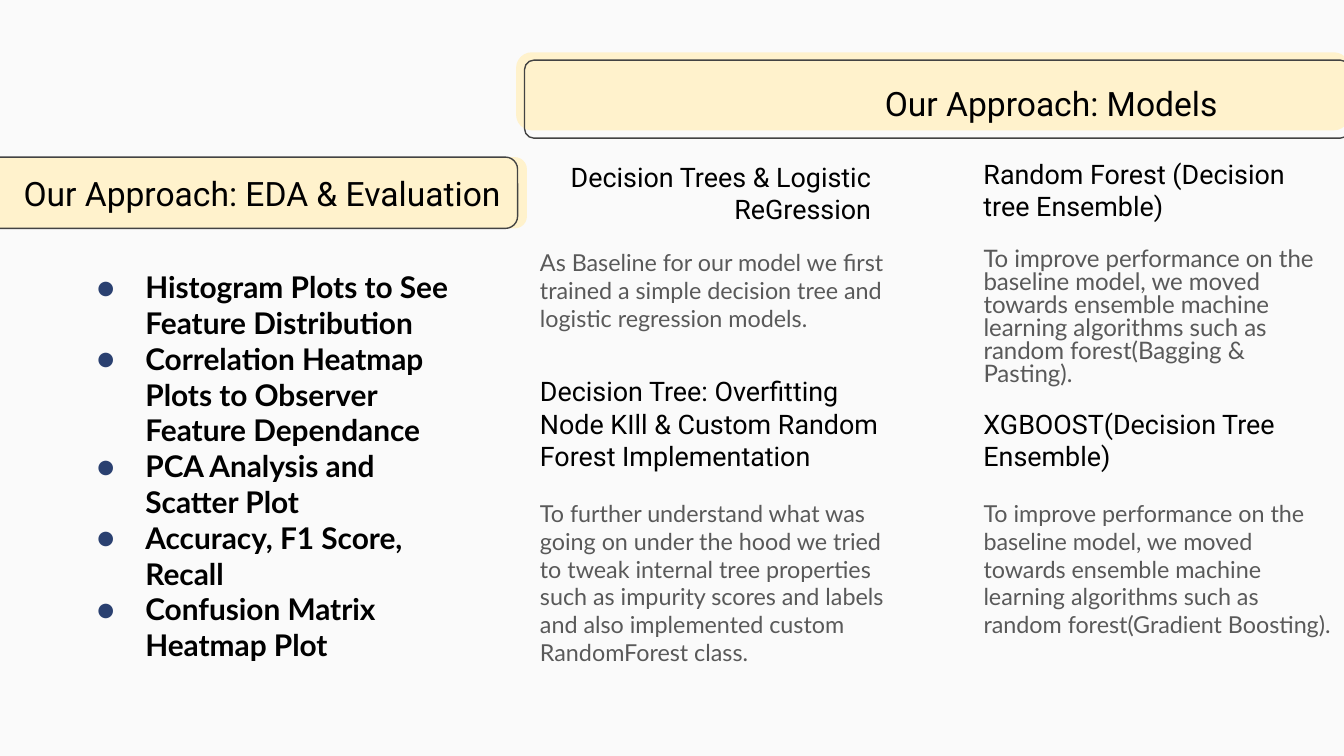
"""Builds the slide on the approach: evaluation steps at left, models at right."""
from lxml.etree import SubElement
from pptx import Presentation
from pptx.dml.color import RGBColor
from pptx.enum.shapes import MSO_SHAPE
from pptx.enum.text import MSO_ANCHOR, PP_ALIGN
from pptx.oxml.ns import qn
from pptx.util import Pt

hue = RGBColor.from_string


def write(shape, lines, font, size, color, anchor=MSO_ANCHOR.TOP, align=PP_ALIGN.LEFT, bold=False):
    frame = shape.text_frame
    frame.word_wrap = True
    frame.vertical_anchor = anchor
    frame.margin_left = frame.margin_right = Pt(7.2)
    frame.margin_top = frame.margin_bottom = Pt(7.2)
    for i, line in enumerate(lines):
        para = frame.paragraphs[0] if i == 0 else frame.add_paragraph()
        para.alignment = align
        run = para.add_run()
        run.text = line
        run.font.name = font
        run.font.size = Pt(size)
        run.font.bold = bold
        run.font.color.rgb = hue(color)
    return frame


deck = Presentation()
deck.slide_width, deck.slide_height = Pt(720), Pt(405)
slide = deck.slides.add_slide(deck.slide_layouts[6])
slide.background.fill.solid()
slide.background.fill.fore_color.rgb = hue("FAFAFA")
shapes = slide.shapes

plates = [
    (276.5, 28, 446.5, 41.8, 0.2, True),
    (281, 32.2, 442, 41.8, 0.12, False),
    (-5, 84.2, 287.3, 38.2, 0.17, True),
    (-10, 84.2, 287.3, 38.2, 0.17, False),
]
for left, top, width, height, curve, solid in plates:
    plate = shapes.add_shape(MSO_SHAPE.ROUNDED_RECTANGLE, Pt(left), Pt(top), Pt(width), Pt(height))
    plate.adjustments[0] = curve
    plate.shadow.inherit = False
    if solid:
        plate.fill.solid()
        plate.fill.fore_color.rgb = hue("FFF2CC")
        plate.line.fill.background()
    else:
        plate.fill.background()
        plate.line.color.rgb = hue("434343")
        plate.line.width = Pt(0.75)

write(plate, ["Our Approach: EDA & Evaluation"], "Roboto", 18, "000000",
      MSO_ANCHOR.MIDDLE, PP_ALIGN.RIGHT)
title = shapes.add_textbox(Pt(408), Pt(36), Pt(251.4), Pt(38.2))
write(title, ["Our Approach: Models"], "Roboto", 18, "000000", MSO_ANCHOR.MIDDLE, PP_ALIGN.RIGHT)

cols, rows = (282.2, 519.8), (80.6, 214.6)
mid, low = MSO_ANCHOR.MIDDLE, MSO_ANCHOR.BOTTOM
models = [
    (0, 0, 191.5, mid, PP_ALIGN.RIGHT, 12.5, 1, "Decision Trees & Logistic ReGression",
     "As Baseline for our model we first trained a simple decision tree and logistic "
     "regression models."),
    (0, 1, 208.8, low, PP_ALIGN.LEFT, 12.5, 1,
     "Decision Tree: Overfitting Node KIll & Custom Random Forest Implementation",
     "To further understand what was going on under the hood we tried to tweak internal tree "
     "properties such as impurity scores and labels and also implemented custom "
     "RandomForest class."),
    (1, 0, 191.5, low, PP_ALIGN.LEFT, 12.9, 0.8, "Random Forest (Decision tree Ensemble)",
     "To improve performance on the baseline model, we moved towards ensemble machine learning "
     "algorithms such as random forest(Bagging & Pasting)."),
    (1, 1, 180, low, PP_ALIGN.LEFT, 12.5, 1, "XGBOOST(Decision Tree Ensemble)",
     "To improve performance on the baseline model, we moved towards ensemble machine learning "
     "algorithms such as random forest(Gradient Boosting)."),
]
for col, row, width, anchor, align, size, space, name, about in models:
    left, top = cols[col], rows[row]
    head = shapes.add_textbox(Pt(left), Pt(top), Pt(width), Pt(45.4))
    write(head, [name], "Roboto", 14.4, "000000", anchor, align)
    body = shapes.add_textbox(Pt(left), Pt(top + 45.4), Pt(200.2), Pt(77))
    frame = write(body, [about], "Lato", size, "595959")
    frame.paragraphs[0].line_spacing = space

steps = [
    "Histogram Plots to See Feature Distribution",
    "Correlation Heatmap Plots to Observer Feature Dependance",
    "PCA Analysis and Scatter Plot",
    "Accuracy, F1 Score, Recall",
    "Confusion Matrix Heatmap Plot",
]
listing = shapes.add_textbox(Pt(34.8), Pt(136.8), Pt(219.6), Pt(242.6))
frame = write(listing, steps, "Lato", 16, "000000", bold=True)
for para in frame.paragraphs:
    props = para._p.get_or_add_pPr()
    props.set("marL", str(Pt(36)))
    props.set("indent", str(Pt(-26)))
    tint = SubElement(props, qn("a:buClr"))
    SubElement(tint, qn("a:srgbClr")).set("val", str(hue("2A4070")))
    SubElement(props, qn("a:buFont")).set("typeface", "Lato")
    SubElement(props, qn("a:buChar")).set("char", "●")

deck.save("out.pptx")
